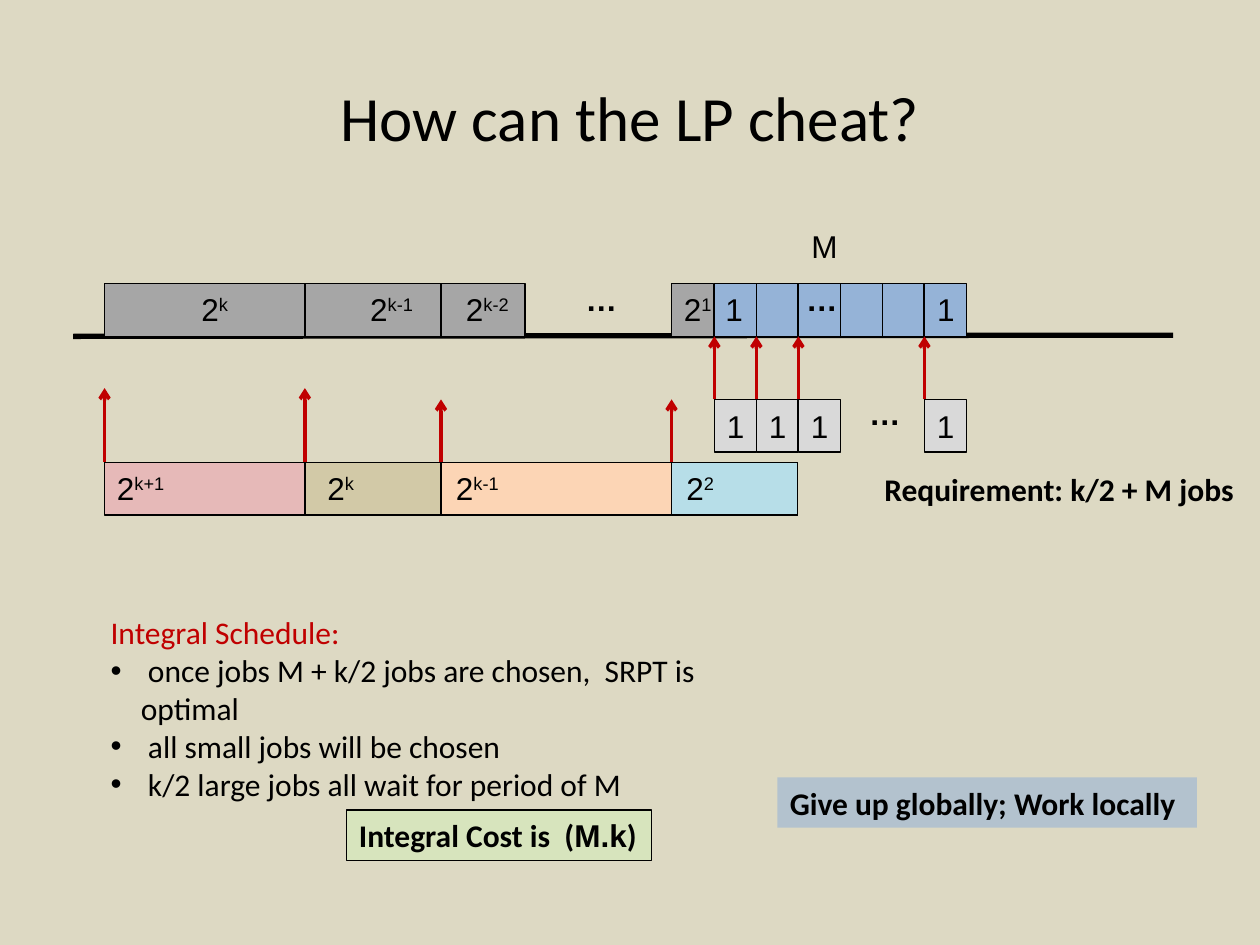
from dataclasses import dataclass

from lxml import etree
from pptx import Presentation
from pptx.dml.color import RGBColor
from pptx.enum.shapes import MSO_CONNECTOR, MSO_SHAPE
from pptx.enum.text import MSO_ANCHOR, PP_ALIGN
from pptx.oxml.ns import qn
from pptx.util import Inches, Pt

RECT = MSO_SHAPE.RECTANGLE
STRAIGHT = MSO_CONNECTOR.STRAIGHT
MIDDLE = MSO_ANCHOR.MIDDLE
CENTER = PP_ALIGN.CENTER


@dataclass(frozen=True)
class Theme:
    background: str = "DDD9C3"
    ink: str = "000000"
    accent: str = "C00000"
    gray: str = "A6A6A6"
    blue: str = "95B3D7"
    pale: str = "D9D9D9"
    pink: str = "E6B9B8"
    olive: str = "C3D69B"
    peach: str = "FCD5B5"
    aqua: str = "B7DEE8"
    green: str = "D7E4BD"
    title_size: int = 36
    body_size: int = 18
    body_font: str = "Calibri"
    math_font: str = "Arial"


THEME = Theme()
UNIT = 1 / 3  # width of a job of size 1
BLOCK_HEIGHT = 0.42
LABEL_HEIGHT = 0.4


def add_span(para, text, font=THEME.body_font, color=THEME.ink,
             size=THEME.body_size, bold=False, raised=False):
    span = para.add_run()
    span.text = text
    span.font.name = font
    span.font.size = Pt(size)
    span.font.bold = bold
    span.font.color.rgb = RGBColor.from_string(color)
    if raised:
        span.font._element.set("baseline", "30000")


def add_text_box(page, left, top, width, height=LABEL_HEIGHT, wrap=True):
    box = page.shapes.add_textbox(Inches(left), Inches(top), Inches(width), Inches(height))
    box.text_frame.word_wrap = wrap
    return box


def add_label(page, left, top, width, base, power="", bold=False, wrap=False):
    """Write a job size, with an optional raised exponent."""
    para = add_text_box(page, left, top, width, wrap=wrap).text_frame.paragraphs[0]
    add_span(para, base, THEME.math_font, bold=bold)
    if power:
        add_span(para, power, THEME.math_font, raised=True)


def add_block(page, left, top, width, color, height=BLOCK_HEIGHT, opacity=100, border=1):
    block = page.shapes.add_shape(RECT, Inches(left), Inches(top), Inches(width), Inches(height))
    block.shadow.inherit = False
    block.fill.solid()
    block.fill.fore_color.rgb = RGBColor.from_string(color)
    if opacity < 100:
        fill_color = block._element.spPr.find(qn("a:solidFill"))[0]
        etree.SubElement(fill_color, qn("a:alpha")).set("val", str(opacity * 1000))
    if border:
        block.line.color.rgb = RGBColor.from_string(THEME.ink)
        block.line.width = Pt(border)
    else:
        block.line.fill.background()
    return block


def add_line(page, start, end, color, weight, arrow=False):
    line = page.shapes.add_connector(STRAIGHT, *(Inches(value) for value in start + end))
    line.line.color.rgb = RGBColor.from_string(color)
    line.line.width = Pt(weight)
    if arrow:
        etree.SubElement(line.line._get_or_add_ln(), qn("a:tailEnd")).set("type", "arrow")
    etree.SubElement(line._element.spPr, qn("a:effectLst"))


def add_release_arrow(page, left, top, length):
    """Point upwards from a job's corner to its release time."""
    add_line(page, (left, top), (left, top - length), THEME.accent, 2, arrow=True)


def add_title(page, left, top, width, height):
    frame = add_text_box(page, left, top, width, height).text_frame
    frame.vertical_anchor = MIDDLE
    para = frame.paragraphs[0]
    para.alignment = CENTER
    add_span(para, "How can the LP cheat?", size=THEME.title_size)


def add_timeline(page, left, top):
    add_line(page, (left - 0.25, top + 0.42), (left + 8.48, top + 0.41), THEME.ink, 3)
    for offset, width in ((0, 1.59), (1.59, 1.08), (2.67, 0.67), (4.5, UNIT)):
        add_block(page, left + offset, top, width, THEME.gray)
    for index in range(6):
        add_block(page, left + 4.84 + index * UNIT, top, UNIT, THEME.blue)
    labels = ((0.67, 0.41, "2", "k"), (2.01, 0.54, "2", "k-1"), (2.77, 0.54, "2", "k-2"),
              (4.5, 0.42, "2", "1"), (4.83, 0.34, "1", ""), (6.51, 0.34, "1", ""))
    for offset, width, base, power in labels:
        add_label(page, left + offset, top, width, base, power)
    for offset in (3.72, 5.47):
        add_label(page, left + offset, top - 0.08, 0.45, "…", bold=True)
    add_label(page, left + 5.51, top - 0.5, 0.41, "M")


def add_large_jobs(page, left, top, width):
    """Stack the large jobs, each covering the rest of the row."""
    jobs = ((0, THEME.pink, 100, 0.59, 0, "k+1"), (1.59, THEME.olive, 56, 0.59, 0.08, "k"),
            (2.67, THEME.peach, 100, 0.5, 0.02, "k-1"), (4.5, THEME.aqua, 100, 0.5, 0.02, "2"))
    for offset, color, opacity, rise, indent, power in jobs:
        start = left + offset
        add_block(page, start, top, width - offset, color, opacity=opacity)
        add_release_arrow(page, start, top, rise)
        add_label(page, start + indent, top, 0.8, "2", power, wrap=True)


def add_small_jobs(page, left, top):
    for slot in (0, 1, 2, 5):
        start = left + slot * UNIT
        add_block(page, start, top, UNIT, THEME.pale)
        add_release_arrow(page, start, top, 0.5)
        add_label(page, start, top + 0.01, 0.75, "1", wrap=True)
    add_label(page, left + 1.13, top - 0.09, 0.45, "…", bold=True)


def add_bullet(para, indent):
    props = para._p.get_or_add_pPr()
    props.set("marL", str(Inches(indent)))
    props.set("indent", str(-Inches(indent)))
    bullet_color = etree.SubElement(props, qn("a:buClr"))
    etree.SubElement(bullet_color, qn("a:srgbClr")).set("val", THEME.ink)
    etree.SubElement(props, qn("a:buFont")).set("typeface", THEME.math_font)
    etree.SubElement(props, qn("a:buChar")).set("char", "•")


def add_schedule(page, left, top, width, height):
    frame = add_text_box(page, left, top, width, height).text_frame
    add_span(frame.paragraphs[0], "Integral Schedule:", color=THEME.accent)
    for point in (" once jobs M + k/2 jobs are chosen,  SRPT is optimal",
                  " all small jobs will be chosen",
                  " k/2 large jobs all wait for period of M"):
        para = frame.add_paragraph()
        add_bullet(para, 0.24)
        add_span(para, point)


def add_statement(box, *spans):
    """Write bold (text, font) spans, left aligned, into a box."""
    box.text_frame.word_wrap = True
    para = box.text_frame.paragraphs[0]
    para.alignment = PP_ALIGN.LEFT
    for text, font in spans:
        add_span(para, text, font, bold=True)


def main():
    deck = Presentation()
    deck.slide_width, deck.slide_height = Inches(10), Inches(7.5)
    page = deck.slides.add_slide(deck.slide_layouts[6])
    page.background.fill.solid()
    page.background.fill.fore_color.rgb = RGBColor.from_string(THEME.background)

    add_title(page, 0.5, 0.3, 9, 1.25)
    add_timeline(page, 0.83, 2.25)
    add_large_jobs(page, 0.83, 3.67, 5.5)
    add_small_jobs(page, 5.67, 3.17)
    add_schedule(page, 0.78, 4.82, 5.53, 1.6)

    body, math = THEME.body_font, THEME.math_font
    cost = add_block(page, 2.75, 6.43, 2.42, THEME.green, LABEL_HEIGHT, border=0.75)
    add_statement(cost, ("Integral Cost is  (", body), ("M.k", math), (")", body))
    add_statement(add_text_box(page, 6.92, 3.68, 2.98), ("Requirement: k/2 + M jobs", body))
    motto = add_block(page, 6.17, 6.17, 3.33, THEME.blue, LABEL_HEIGHT, opacity=58, border=0)
    add_statement(motto, ("Give up globally; Work locally", body))

    deck.save("out.pptx")


if __name__ == "__main__":
    main()
